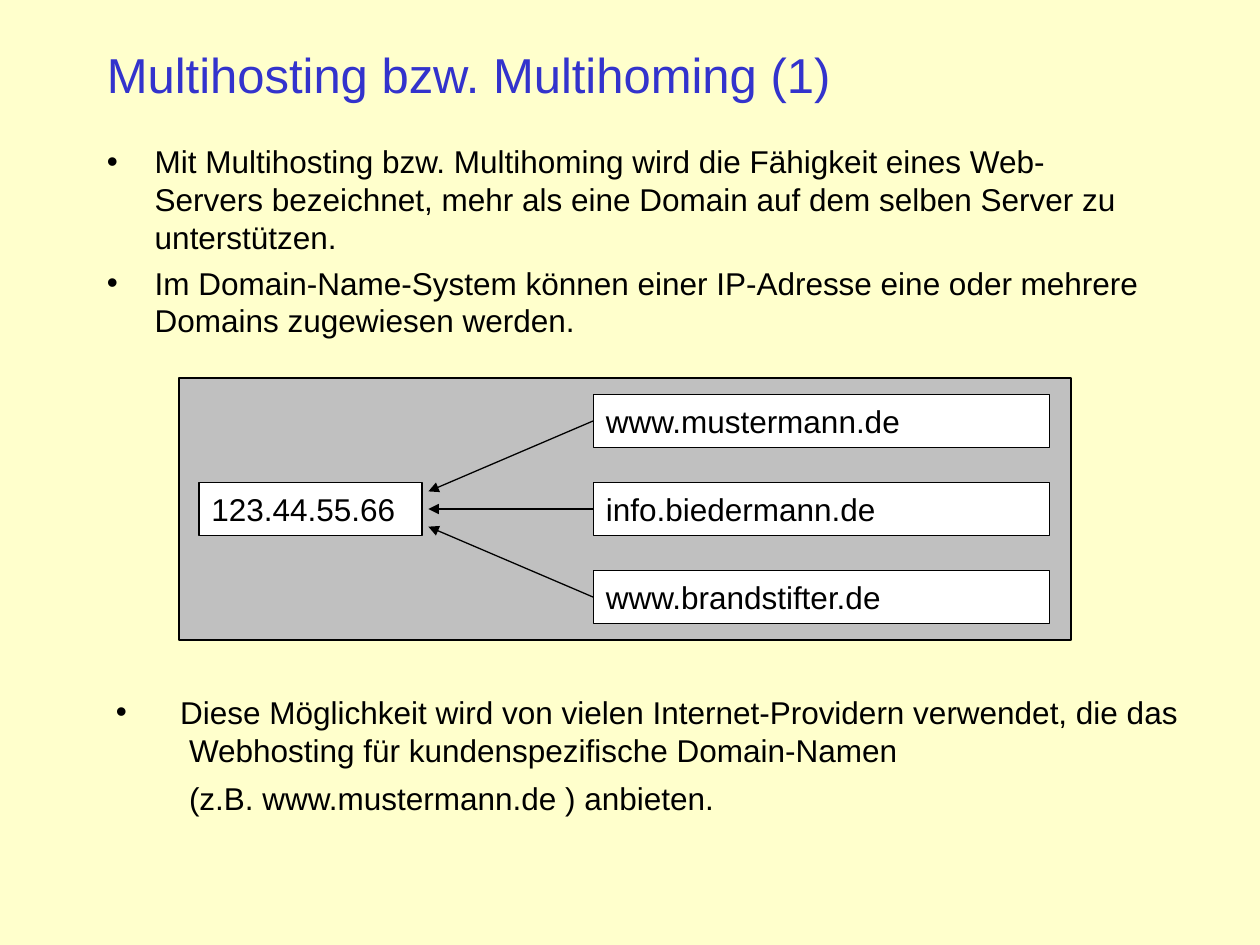
"""Build the slide on multihosting with its address diagram."""
from lxml.etree import SubElement as Sub
from pptx import Presentation
from pptx.dml.color import RGBColor
from pptx.enum.shapes import MSO_CONNECTOR as Link, MSO_SHAPE as Kind
from pptx.enum.text import MSO_ANCHOR as Anchor, PP_ALIGN as Align
from pptx.oxml.ns import qn
from pptx.util import Inches, Pt

TITLE = "Multihosting bzw. Multihoming (1)"
POINTS = [
    "Mit Multihosting bzw. Multihoming wird die Fähigkeit eines Web-Servers "
    "bezeichnet, mehr als eine Domain auf dem selben Server zu unterstützen.",
    "Im Domain-Name-System können einer IP-Adresse eine oder mehrere "
    "Domains zugewiesen werden.",
]
HOST = "123.44.55.66"
NAMES = ["www.mustermann.de", "info.biedermann.de", "www.brandstifter.de"]
USE = [
    "Diese Möglichkeit wird von vielen Internet-Providern verwendet, die das",
    "Webhosting für kundenspezifische Domain-Namen",
    "(z.B. www.mustermann.de ) anbieten.",
]
BLACK, WHITE, GRAY, BLUE, CREAM = "000000", "FFFFFF", "C0C0C0", "3333CC", "FFFFCC"
LEFT, MID, HIGH, STEP = 4.71, 3.83, 0.42, 0.7
TIP, FAN = 3.4, 0.14


def paint(fill, tone):
    fill.solid()
    fill.fore_color.rgb = RGBColor.from_string(tone)


def style(para, size=18, tone=BLACK):
    para.alignment = Align.LEFT
    para.font.name = "Arial"
    para.font.size = Pt(size)
    para.font.color.rgb = RGBColor.from_string(tone)


def indent(para, left, hang=0):
    props = para._p.get_or_add_pPr()
    props.set("marL", str(Inches(left)))
    props.set("indent", str(-Inches(hang)))
    if hang:
        Sub(props, qn("a:buFont")).set("typeface", "Arial")
        Sub(props, qn("a:buChar")).set("char", "•")


def text_box(slide, area, inset=(0.1, 0.05)):
    frame = slide.shapes.add_textbox(*map(Inches, area)).text_frame
    frame.word_wrap = True
    frame.margin_left = frame.margin_right = Inches(inset[0])
    frame.margin_top = frame.margin_bottom = Inches(inset[1])
    return frame


def fill_list(frame, rows):
    for i, (text, left, hang, gap) in enumerate(rows):
        para = frame.add_paragraph() if i else frame.paragraphs[0]
        para.text = text
        indent(para, left, hang)
        para.space_before = Pt(gap)
        style(para)


def add_box(slide, area, tone, text=""):
    box = slide.shapes.add_shape(Kind.RECTANGLE, *map(Inches, area))
    box.shadow.inherit = False
    paint(box.fill, tone)
    paint(box.line.fill, BLACK)
    box.line.width = Pt(0.75)
    if text:
        box.text_frame.text = text
        style(box.text_frame.paragraphs[0])


def add_arrow(slide, *ends):
    line = slide.shapes.add_connector(Link.STRAIGHT, *map(Inches, ends))
    paint(line.line.fill, BLACK)
    line.line.width = Pt(0.75)
    Sub(line.line._get_or_add_ln(), qn("a:tailEnd")).set("type", "triangle")
    Sub(line._element.spPr, qn("a:effectLst"))


def main():
    deck = Presentation()
    deck.slide_width, deck.slide_height = Inches(10), Inches(7.5)
    slide = deck.slides.add_slide(deck.slide_layouts[6])
    paint(slide.background.fill, CREAM)

    head = text_box(slide, (0.75, 0.25, 8.5, 0.67))
    head.vertical_anchor = Anchor.MIDDLE
    head.text = TITLE
    style(head.paragraphs[0], 28, BLUE)

    body = text_box(slide, (0.75, 1.08, 8.5, 1.67))
    fill_list(body, [(t, 0.38, 0.38, 4.5 * i) for i, t in enumerate(POINTS)])

    add_box(slide, (1.42, 3, 7.08, 2.08), GRAY)
    add_box(slide, (1.58, MID, 1.77, HIGH), WHITE, HOST)
    for i, name in enumerate(NAMES, -1):
        top = MID + i * STEP
        add_box(slide, (LEFT, top, 3.62, HIGH), WHITE, name)
        add_arrow(slide, LEFT, top + HIGH / 2, TIP, MID + HIGH / 2 + i * FAN)

    foot = text_box(slide, (0.92, 5.5, 8.75, 1), (0, 0))
    fill_list(foot, zip(USE, (0.51, 0.58, 0.58), (0.51, 0, 0), (0, 0, 6)))
    deck.save("out.pptx")


if __name__ == "__main__":
    main()
